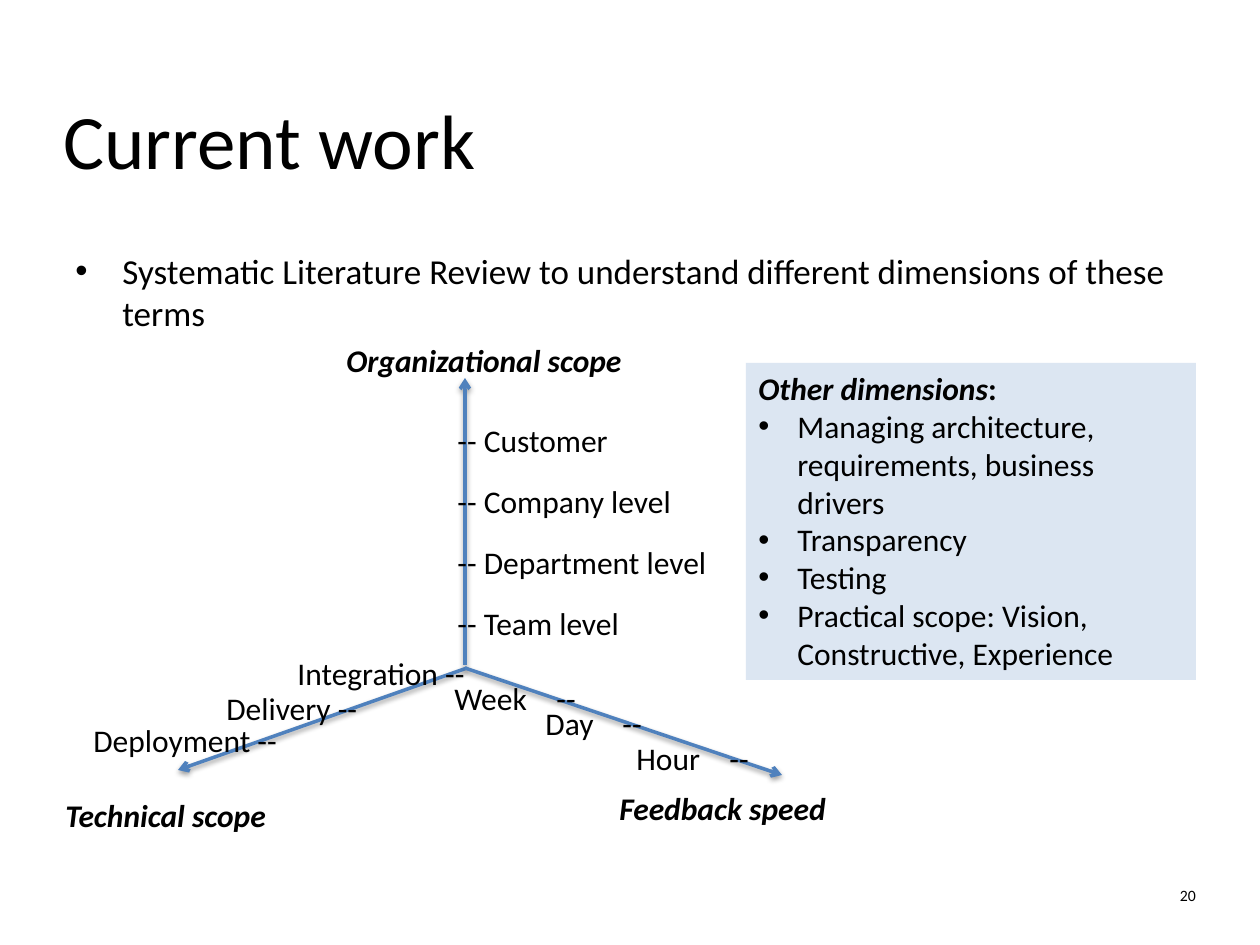
from lxml import etree
from pptx import Presentation
from pptx import util as u
from pptx.dml.color import RGBColor
from pptx.enum import shapes, text
from pptx.oxml import parse_xml
from pptx.oxml.ns import nsdecls, qn

SCALE = 914400 / 126
BLACK = RGBColor(0x00, 0x00, 0x00)
BLUE = RGBColor(0x4F, 0x81, 0xBD)
PALE = RGBColor(0xDC, 0xE6, 0xF2)
SHADOW = (
    f'<a:effectLst {nsdecls("a")}><a:outerShdw blurRad="40000" dist="20000" '
    'dir="5400000" rotWithShape="0"><a:srgbClr val="000000">'
    '<a:alpha val="38000"/></a:srgbClr></a:outerShdw></a:effectLst>'
)


def px(n):
    return u.Emu(round(n * SCALE))


def write(para, words, size=18, bold=False, slant=False):
    run = para.add_run()
    run.text = words
    font = run.font
    font.name, font.size = "Calibri", u.Pt(size)
    font.bold, font.italic = bold, slant
    font.color.rgb = BLACK


def bullet(para, indent):
    props = para._p.get_or_add_pPr()
    props.set("marL", str(px(indent)))
    props.set("indent", str(-px(indent)))
    etree.SubElement(props, qn("a:buFont")).set("typeface", "Arial")
    etree.SubElement(props, qn("a:buChar")).set("char", "•")


def tab(para, stop):
    tabs = etree.SubElement(para._p.get_or_add_pPr(), qn("a:tabLst"))
    etree.SubElement(tabs, qn("a:tab"), pos=str(px(stop)), algn="l")


def box(slide, x, y, w, h, wrap=False, inset=True):
    """Add a text box and return its text frame."""
    frame = slide.shapes.add_textbox(px(x), px(y), px(w), px(h)).text_frame
    frame.word_wrap = wrap
    if not inset:
        frame.margin_left = frame.margin_right = 0
        frame.margin_top = frame.margin_bottom = 0
    return frame


def label(slide, words, x, y, w, stop=None, **form):
    """Add a one-line label; stop places the tick after a tab."""
    para = box(slide, x, y, w, 50, wrap=stop is not None).paragraphs[0]
    if stop:
        tab(para, stop)
    write(para, words, **form)


def axis(slide, x1, y1, x2, y2):
    line = slide.shapes.add_connector(
        shapes.MSO_CONNECTOR.STRAIGHT, px(x1), px(y1), px(x2), px(y2))
    line.line.color.rgb = BLUE
    line.line.width = u.Pt(2)
    etree.SubElement(line.line._ln, qn("a:tailEnd")).set("type", "arrow")
    line._element.spPr.append(parse_xml(SHADOW))


def panel(slide, head, items, x, y, w, h):
    """Add the filled box with a heading and bullets."""
    rect = slide.shapes.add_shape(
        shapes.MSO_SHAPE.RECTANGLE, px(x), px(y), px(w), px(h))
    rect.shadow.inherit = False
    rect.fill.solid()
    rect.fill.fore_color.rgb = PALE
    rect.line.fill.background()
    frame = rect.text_frame
    frame.word_wrap = True
    frame.vertical_anchor = text.MSO_ANCHOR.TOP
    para = frame.paragraphs[0]
    para.alignment = text.PP_ALIGN.LEFT
    write(para, head, bold=True, slant=True)
    write(para, ":", bold=True)
    for item in items:
        para = frame.add_paragraph()
        para.alignment = text.PP_ALIGN.LEFT
        bullet(para, 39)
        write(para, item)


def main():
    deck = Presentation()
    deck.slide_width, deck.slide_height = u.Inches(10), u.Inches(7.5)
    slide = deck.slides.add_slide(deck.slide_layouts[6])

    title = box(slide, 63, 78, 999, 107, inset=False)
    title.vertical_anchor = text.MSO_ANCHOR.BOTTOM
    write(title.paragraphs[0], "Current work", size=44)

    body = box(slide, 63, 243, 1133, 82, wrap=True).paragraphs[0]
    bullet(body, 47)
    write(body, "Systematic Literature Review to understand different "
                "dimensions of these terms", size=20)

    page = box(slide, 1017, 886, 179, 23, wrap=True, inset=False).paragraphs[0]
    page.alignment = text.PP_ALIGN.RIGHT
    write(page, "20", size=9)

    for ends in ((465, 665, 465, 378), (467, 668, 178, 770),
                 (465, 668, 782, 775)):
        axis(slide, *ends)

    for name, x, y, w in (("Organizational scope", 334, 335, 312),
                          ("Technical scope", 53, 790, 238),
                          ("Feedback speed", 607, 783, 242)):
        label(slide, name, x, y, w, bold=True, slant=True)

    levels = (("Customer", 178), ("Company level", 242),
              ("Department level", 277), ("Team level", 192))
    for row, (name, w) in enumerate(levels):
        label(slide, f"-- {name}", 445, 415 + 61 * row, w)

    for name, x, y, w in (("Integration", 285, 648, 195),
                          ("Delivery", 214, 683, 158),
                          ("Deployment", 81, 715, 212)):
        label(slide, f"{name} --", x, y, w)

    for name, x, y, stop in (("Week", 442, 673, 102), ("Day", 533, 698, 77),
                             ("Hour", 624, 733, 93)):
        label(slide, f"{name}\t--", x, y, stop + 55, stop=stop)

    panel(slide, "Other dimensions",
          ("Managing architecture, requirements, business drivers",
           "Transparency", "Testing",
           "Practical scope: Vision, Constructive, Experience"),
          746, 363, 450, 317)

    deck.save("out.pptx")


if __name__ == "__main__":
    main()
